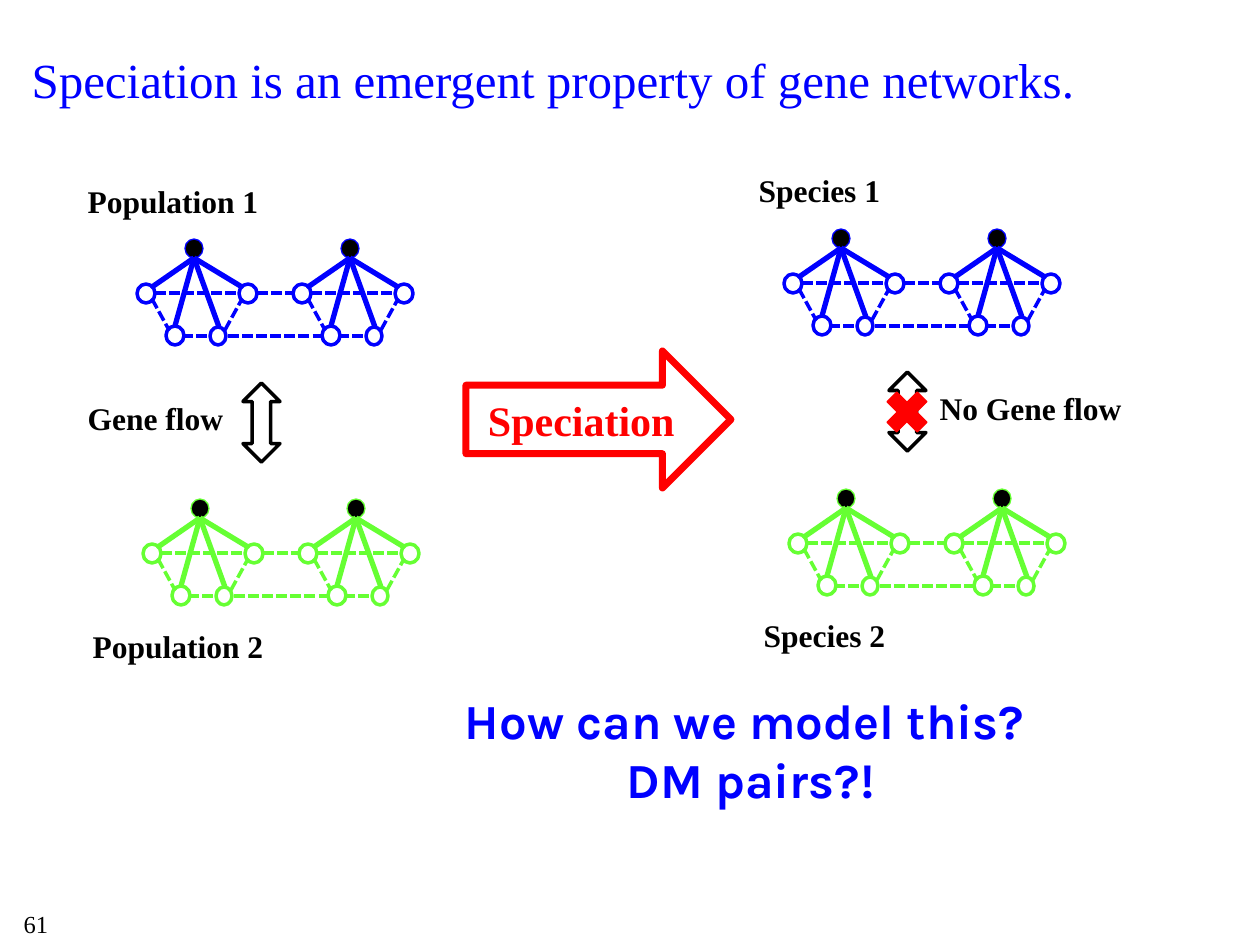
from pptx import Presentation
from pptx.dml.color import RGBColor
from pptx.enum.dml import MSO_LINE
from pptx.enum.shapes import MSO_CONNECTOR, MSO_SHAPE
from pptx.enum.text import MSO_ANCHOR, PP_ALIGN
from pptx.oxml.ns import qn
from pptx.util import Pt
from lxml.etree import SubElement

EMU_PER_PX = 914400 / 126
BLACK, BLUE, GREEN, RED = "000000", "0000FF", "66FF33", "FF0000"
SERIF = "Times New Roman"
CLUSTER_STEP = 156

APEX = (48, 0, 18, 19)
GENES = [(73, 88, 16, 18), (29, 87, 18, 19), (0, 45, 18, 19), (102, 45, 18, 19)]
APEX_LINKS = [(57, 19, x, y) for x, y in [(15, 48), (38, 87), (82, 88), (105, 48)]]
GENE_LINKS = [(88, 91, 105, 60), (45, 97, 73, 97), (18, 54, 102, 54), (15, 60, 32, 91)]
CLUSTER_LINKS = [(120, 54, 156, 54), (91, 97, 184, 97)]

NETWORKS = [(137, 239, BLUE), (143, 499, GREEN), (784, 229, BLUE), (789, 489, GREEN)]
LABELS = [
    ("Gene flow", 74, 393, 163),
    ("Population 1", 74, 176, 198),
    ("Population 2", 79, 621, 198),
    ("No Gene flow", 926, 383, 209),
    ("Species 1", 745, 165, 149),
    ("Species 2", 750, 610, 149),
]


def px(*lengths):
    """Turn pixel lengths into EMU."""
    return [round(length * EMU_PER_PX) for length in lengths]


def rgb(hex_colour):
    """Turn a hex string into a colour."""
    return RGBColor.from_string(hex_colour)


def write(frame, text, size, colour, font=SERIF, bold=False, align=PP_ALIGN.CENTER):
    """Fill a text frame and format every run alike."""
    frame.text = text
    for paragraph in frame.paragraphs:
        paragraph.alignment = align
        for run in paragraph.runs:
            run.font.name = font
            run.font.size = Pt(size)
            run.font.bold = bold
            run.font.color.rgb = rgb(colour)


def add_label(slide, text, box, size=18, colour=BLACK, font=SERIF, bold=True):
    """Add a centred, unwrapped text box."""
    frame = slide.shapes.add_textbox(*px(*box)).text_frame
    frame.word_wrap = False
    write(frame, text, size, colour, font, bold)


def add_outlined(shapes, kind, box, colour, width, fill=None):
    """Add a preset shape with an outline and an optional fill."""
    shape = shapes.add_shape(kind, *px(*box))
    shape.shadow.inherit = False
    if fill:
        shape.fill.solid()
        shape.fill.fore_color.rgb = rgb(fill)
    else:
        shape.fill.background()
    shape.line.color.rgb = rgb(colour)
    shape.line.width = Pt(width)
    return shape


def add_link(shapes, ends, left, top, colour, width, dashed=False):
    """Add a straight link between two points given relative to left and top."""
    x1, y1, x2, y2 = ends
    points = px(left + x1, top + y1, left + x2, top + y2)
    link = shapes.add_connector(MSO_CONNECTOR.STRAIGHT, *points)
    link.line.color.rgb = rgb(colour)
    link.line.width = Pt(width)
    if dashed:
        link.line.dash_style = MSO_LINE.SQUARE_DOT
    SubElement(link.element.spPr, qn("a:effectLst"))


def add_gene(shapes, box, left, top, colour, width, fill=None):
    """Add one gene node given relative to left and top."""
    x, y, w, h = box
    add_outlined(shapes, MSO_SHAPE.OVAL, (left + x, top + y, w, h), colour, width, fill)


def add_cluster(shapes, left, top, colour):
    """Add a regulator with its four genes and their links."""
    add_gene(shapes, APEX, left, top, colour, 0.75, BLACK)
    for gene in GENES:
        add_gene(shapes, gene, left, top, colour, 2)
    for ends in APEX_LINKS:
        add_link(shapes, ends, left, top, colour, 3)
    for ends in GENE_LINKS:
        add_link(shapes, ends, left, top, colour, 2, True)


def add_network(slide, left, top, colour):
    """Add two linked clusters as one group."""
    shapes = slide.shapes.add_group_shape().shapes
    for offset in (0, CLUSTER_STEP):
        add_cluster(shapes, left + offset, top, colour)
    for ends in CLUSTER_LINKS:
        add_link(shapes, ends, left, top, colour, 2, True)


def add_title(slide, text):
    """Place and format the title placeholder."""
    title = slide.shapes.title
    title.left, title.top, title.width, title.height = px(19, 0, 1071, 158)
    title.text_frame.vertical_anchor = MSO_ANCHOR.MIDDLE
    write(title.text_frame, text, 28, BLUE, align=PP_ALIGN.LEFT)


def main():
    """Build the slide and save it."""
    deck = Presentation()
    deck.slide_width, deck.slide_height = px(1260, 945)
    slide = deck.slides.add_slide(deck.slide_layouts[5])
    shapes = slide.shapes

    add_title(slide, "Speciation is an emergent property of gene networks.")
    add_label(slide, "61", (-57, 903, 186, 42), size=14, bold=False)
    for left, top, colour in NETWORKS:
        add_network(slide, left, top, colour)
    for left, top in [(243, 383), (889, 372)]:
        add_outlined(shapes, MSO_SHAPE.UP_DOWN_ARROW, (left, top, 37, 79), BLACK, 2)
    for text, left, top, width in LABELS:
        add_label(slide, text, (left, top, width, 50))

    add_outlined(shapes, MSO_SHAPE.MATH_MULTIPLY, (878, 383, 58, 58), RED, 0.75, RED)
    speciation = add_outlined(shapes, MSO_SHAPE.RIGHT_ARROW, (466, 351, 265, 137), RED, 4)
    write(speciation.text_frame, "Speciation", 24, RED, bold=True)
    add_label(slide, "How can we model this? \nDM pairs?!", (428, 684, 645, 131),
              size=28, colour=BLUE, font="Karla")

    deck.save("out.pptx")


if __name__ == "__main__":
    main()
